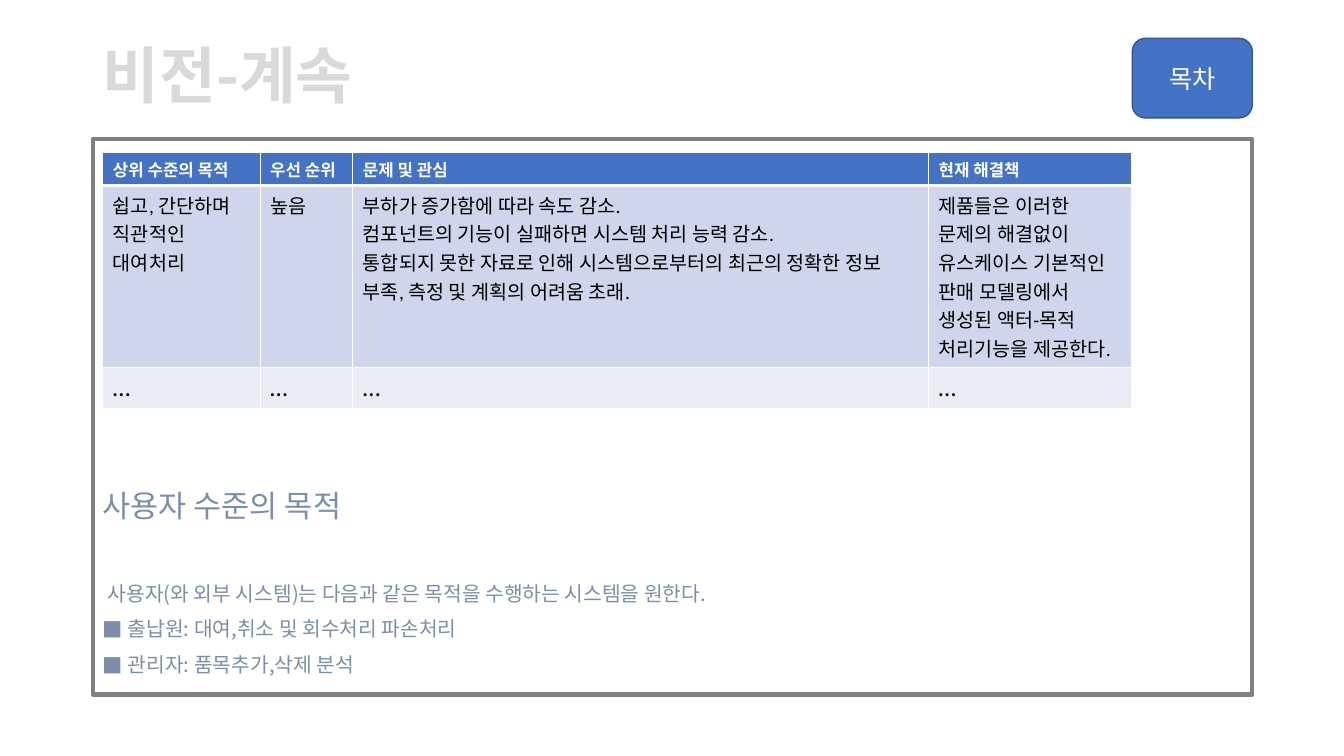
from lxml import etree
from pptx import Presentation
from pptx.dml.color import RGBColor
from pptx.enum.shapes import MSO_SHAPE
from pptx.enum.text import MSO_ANCHOR, PP_ALIGN
from pptx.oxml.ns import qn
from pptx.util import Inches, Pt

ROUNDED, RECTANGLE = MSO_SHAPE.ROUNDED_RECTANGLE, MSO_SHAPE.RECTANGLE
MIDDLE, BOTTOM = MSO_ANCHOR.MIDDLE, MSO_ANCHOR.BOTTOM
CENTER, LEFT = PP_ALIGN.CENTER, PP_ALIGN.LEFT

KOREAN, LATIN = "Noto Sans CJK KR", "Calibri"
BLUE, WHITE, BLACK, SLATE = "4472C4", "FFFFFF", "000000", "7A8EAA"
COLUMN_WIDTHS = [1.56, 0.92, 5.71, 2.01]
ROW_HEIGHTS = [0.33, 1.81, 0.4]
HEADERS = ["상위 수준의 목적", "우선 순위", "문제 및 관심", "현재 해결책"]
# Each cell is a list of paragraphs, each paragraph a list of (text, font)
GOALS = [
    [[("쉽고, 간단하며", LATIN)], [("직관적인", KOREAN)], [("대여처리", KOREAN)]],
    [[("높음", KOREAN)]],
    [
        [("부하가 증가함에 따라 속도 감소", KOREAN), (".", LATIN)],
        [("컴포넌트의 기능이 실패하면", KOREAN), (" 시스템 처리 ", LATIN),
         ("능력 감소", KOREAN), (".", LATIN)],
        [("통합되지 못한 자료로 인해 시스템으로부터의 최근의 정확한 정보 부족", KOREAN),
         (", ", LATIN), ("측정 및 계획의 어려움 초래", KOREAN), (".", LATIN)],
    ],
    [[("제품들은 이러한 문제의 해결없이 유스케이스 기본적인 판매 모델링에서 생성된 액터", KOREAN),
      ("-", LATIN), ("목적 처리기능을 제공한다", KOREAN), (".", LATIN)]],
]


def color(value):
    return RGBColor.from_string(value)


def add_span(para, text, size, fill, font=KOREAN, bold=False):
    span = para.add_run()
    span.text = text
    span.font.size = Pt(size)
    span.font.bold = bold
    span.font.name = font
    span.font.color.rgb = color(fill)
    east_asian = etree.SubElement(span._r.get_or_add_rPr(), qn("a:ea"))
    east_asian.set("typeface", KOREAN)


def next_para(frame, index):
    return frame.paragraphs[0] if index == 0 else frame.add_paragraph()


def set_indent(para, margin, bullet=None):
    properties = para._p.get_or_add_pPr()
    properties.set("marL", str(Inches(margin)))
    if bullet:
        properties.set("indent", str(-Inches(margin)))
        etree.SubElement(properties, qn("a:buFont")).set("typeface", KOREAN)
        etree.SubElement(properties, qn("a:buChar")).set("char", bullet)


def set_borders(cell, top, bottom):
    properties = cell._tc.get_or_add_tcPr()
    for side, width in (("L", 1), ("R", 1), ("T", top), ("B", bottom)):
        line = etree.SubElement(properties, qn(f"a:ln{side}"))
        line.set("w", str(Pt(width)))
        fill = etree.SubElement(line, qn("a:solidFill"))
        etree.SubElement(fill, qn("a:srgbClr")).set("val", WHITE)


def add_header(page, left, top, width, height):
    # Title
    title = page.shapes.add_textbox(
        Inches(left), Inches(top), Inches(width - 1.32), Inches(height))
    frame = title.text_frame
    frame.word_wrap = True
    frame.vertical_anchor = MIDDLE
    frame.paragraphs[0].line_spacing = 0.9
    add_span(frame.paragraphs[0], "비전-계속", 44, "D9D9D9", bold=True)

    # Contents button, flush with the right edge
    button = page.shapes.add_shape(
        ROUNDED, Inches(left + width - 1.19), Inches(top), Inches(1.19), Inches(height))
    button.shadow.inherit = False
    button.fill.solid()
    button.fill.fore_color.rgb = color(BLUE)
    button.line.color.rgb = color("325491")
    button.line.width = Pt(1)
    button.text_frame.vertical_anchor = MIDDLE
    para = button.text_frame.paragraphs[0]
    para.alignment = CENTER
    add_span(para, "목차", 18, WHITE)


def add_user_goals(page, left, top, width, height):
    box = page.shapes.add_shape(
        RECTANGLE, Inches(left), Inches(top), Inches(width), Inches(height))
    box.shadow.inherit = False
    box.fill.background()
    box.line.color.rgb = color("808080")
    box.line.width = Pt(3)
    frame = box.text_frame
    frame.word_wrap = True
    frame.vertical_anchor = BOTTOM
    frame.margin_bottom = Inches(0.18)

    # Text, size, space before, indent, bullet
    lines = [
        ("사용자 수준의 목적", 21.8, 0, 0, None),
        ("사용자(와 외부 시스템)는 다음과 같은 목적을 수행하는 시스템을 원한다.", 14.5, 46, 0.05, None),
        ("출납원: 대여,취소 및 회수처리 파손처리", 14.5, 13.5, 0.25, "■"),
        ("관리자: 품목추가,삭제 분석", 14.5, 13.5, 0.25, "■"),
    ]
    for index, (text, size, before, margin, bullet) in enumerate(lines):
        para = next_para(frame, index)
        set_indent(para, margin, bullet)
        para.alignment = LEFT
        para.line_spacing = 0.7
        para.space_before = Pt(before)
        add_span(para, text, size, SLATE)


def add_goal_table(page, left, top):
    table = page.shapes.add_table(
        len(ROW_HEIGHTS), len(COLUMN_WIDTHS), Inches(left), Inches(top),
        Inches(sum(COLUMN_WIDTHS)), Inches(sum(ROW_HEIGHTS))).table
    for column, width in zip(table.columns, COLUMN_WIDTHS):
        column.width = Inches(width)
    for row, height in zip(table.rows, ROW_HEIGHTS):
        row.height = Inches(height)

    # Cells, size, text colour, fill, bold, top and bottom border
    rows = [
        ([[[(text, KOREAN)]] for text in HEADERS], 12, WHITE, BLUE, True, 1, 3),
        (GOALS, 14, BLACK, "CFD5EA", False, 3, 1),
        ([[[("…", LATIN)]]] * len(HEADERS), 18, BLACK, "E9EBF5", False, 1, 1),
    ]
    for row_index, (cells, size, ink, fill, bold, above, below) in enumerate(rows):
        for column_index, paragraphs in enumerate(cells):
            cell = table.cell(row_index, column_index)
            set_borders(cell, above, below)
            cell.fill.solid()
            cell.fill.fore_color.rgb = color(fill)
            for index, spans in enumerate(paragraphs):
                para = next_para(cell.text_frame, index)
                for text, font in spans:
                    add_span(para, text, size, ink, font, bold)


def main():
    deck = Presentation()
    deck.slide_width, deck.slide_height = Inches(13.33), Inches(7.5)
    page = deck.slides.add_slide(deck.slide_layouts[6])
    add_header(page, 0.92, 0.38, 11.5, 0.79)
    add_user_goals(page, 0.92, 1.38, 11.5, 5.51)
    add_goal_table(page, 1.02, 1.51)
    deck.save("out.pptx")


if __name__ == "__main__":
    main()
